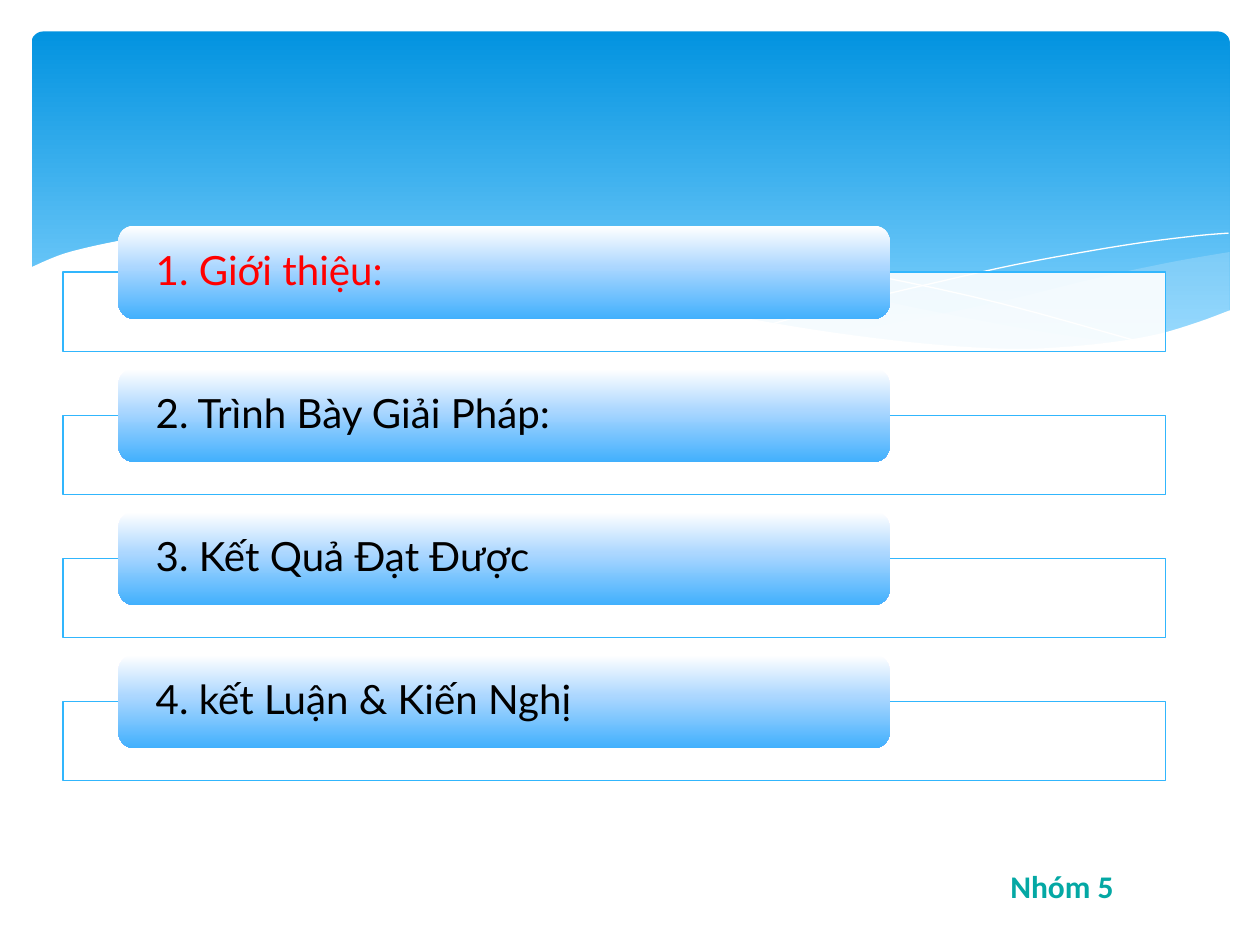
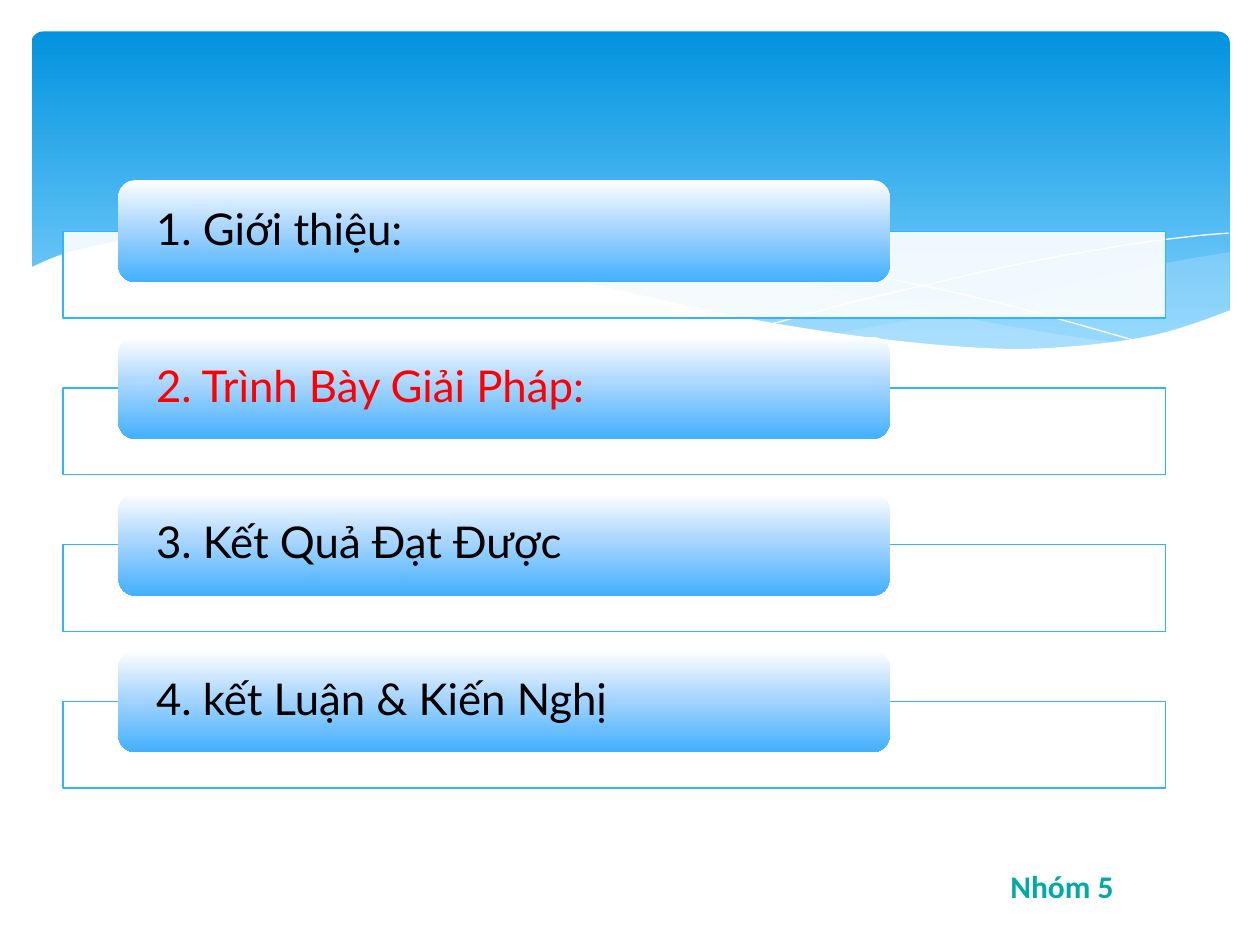
from pptx import Presentation
from pptx.dml.color import RGBColor
from pptx.enum.shapes import MSO_SHAPE
from pptx.enum.text import MSO_ANCHOR, MSO_AUTO_SIZE, PP_ALIGN
from pptx.oxml.ns import qn
from pptx.util import Inches, Pt
from lxml.etree import SubElement

WHITE = RGBColor(0xFF, 0xFF, 0xFF)
BLACK = RGBColor(0x00, 0x00, 0x00)
RED = RGBColor(0xFF, 0x00, 0x00)
TEAL = RGBColor(0x04, 0xA8, 0xA4)
SKY = RGBColor(0x31, 0xB6, 0xFD)
PALE = RGBColor(0xC6, 0xE7, 0xFC)
BANNER = [(0, RGBColor(0x02, 0x93, 0xE0)), (90, RGBColor(0x83, 0xD3, 0xFE))]
CARD = [(0, WHITE), (44, RGBColor(0xAC, 0xD7, 0xFF)), (100, RGBColor(0x42, 0xB0, 0xFD))]

COLS, ROWS = 10, 7.5
TOPICS = ["1. Giới thiệu:", "2. Trình Bày Giải Pháp:", "3. Kết Quả Đạt Được", "4. kết Luận & Kiến Nghị"]
AGENDAS = [
    dict(top=1.79, card=0.74, size=23, current=0),
    dict(top=1.43, card=0.81, size=25, current=1),
]

RIGHT_SWELL = [
    [(9.76, 2), (9.35, 2.07), (8.91, 2.16), (8.61, 2.23), (8.05, 2.37), (7.53, 2.48), (7.06, 2.57), (6.61, 2.65)],
    [(6.61, 2.65), (7.05, 2.71), (7.45, 2.75), (7.81, 2.77), (8.14, 2.78), (8.54, 2.76), (8.89, 2.72),
     (9.21, 2.65), (9.49, 2.57), (9.76, 2.47)],
]
LONG_SWELL = [
    [(8.93, 2.73), (8.37, 2.65), (7.75, 2.54), (7.06, 2.4), (6.29, 2.22), (5.69, 2.08), (5.14, 1.98),
     (4.65, 1.91), (4.2, 1.87), (3.8, 1.85), (3.44, 1.86), (3.13, 1.88), (2.86, 1.91)],
    [(2.86, 1.91), (3.42, 1.99), (4.04, 2.11), (4.49, 2.22), (5.3, 2.4), (6.01, 2.55), (6.65, 2.66),
     (7.22, 2.74), (7.73, 2.77), (8.18, 2.78), (8.57, 2.77), (8.93, 2.73)],
]
FALLING_CREST = [
    [(3.09, 1.95), (3.35, 1.91), (3.74, 1.88), (4.16, 1.87), (4.69, 1.89), (5.33, 1.94), (6.08, 2.04),
     (6.95, 2.19), (7.95, 2.41), (9.07, 2.72)],
]
RISING_CREST = [
    [(6.13, 2.57), (6.72, 2.41), (7.48, 2.23), (8.06, 2.1), (8.66, 1.99), (9.1, 1.92), (9.51, 1.87), (9.75, 1.85)],
]
WHITE_WAVE = [
    [(9.77, 2.46), (9.5, 2.56), (9.2, 2.65), (8.87, 2.71), (8.5, 2.75), (8.09, 2.77), (7.61, 2.75),
     (7.08, 2.7), (6.48, 2.62), (5.79, 2.5), (5.03, 2.33), (4.47, 2.2), (3.91, 2.07), (3.4, 1.97),
     (2.92, 1.9), (2.5, 1.86), (2.11, 1.84), (1.77, 1.84), (1.46, 1.85), (1.19, 1.87), (0.95, 1.91),
     (0.67, 1.97), (0.46, 2.03), (0.23, 2.13)],
    [(0.23, 3.29), (9.77, 3.29)],
]


def smooth(knots, steps=4):
    padded = [knots[0], *knots, knots[-1]]
    points = [knots[0]]
    for a, b, c, d in zip(padded, padded[1:], padded[2:], padded[3:]):
        for t in (i / steps for i in range(1, steps + 1)):
            points.append(tuple(
                (2 * q + (r - p) * t + (2 * p - 5 * q + 4 * r - s) * t ** 2
                 + (3 * q - p - 3 * r + s) * t ** 3) / 2
                for p, q, r, s in zip(a, b, c, d)))
    return points


class Deck:
    """Hold the shared style and the current slide, measured in grid columns and rows."""

    def __init__(self):
        self.prs = Presentation()
        self.prs.slide_width, self.prs.slide_height = Inches(10), Inches(7.5)
        self.s = None

    def grid(self, *lengths):
        units = self.prs.slide_width / COLS, self.prs.slide_height / ROWS
        return [round(n * units[i % 2]) for i, n in enumerate(lengths)]

    def paint(self, sp, fill=None, alpha=100, line=None, width=0.75):
        sp.shadow.inherit = False
        if isinstance(fill, list):
            sp.fill.gradient()
            sp.fill.gradient_angle = 270
            stops = sp._element.spPr.find(".//" + qn("a:gsLst"))
            stops.clear()
            for position, color in fill:
                stop = SubElement(stops, qn("a:gs"), pos=str(position * 1000))
                SubElement(stop, qn("a:srgbClr"), val=str(color))
        elif fill is None:
            sp.fill.background()
        else:
            sp.fill.solid()
            sp.fill.fore_color.rgb = fill
            if alpha < 100:
                color = sp._element.spPr.find(qn("a:solidFill"))[0]
                SubElement(color, qn("a:alpha"), val=str(alpha * 1000))
        if line is None:
            sp.line.fill.background()
        else:
            sp.line.color.rgb = line
            sp.line.width = Pt(width)
        return sp

    def shape(self, kind, box, **look):
        return self.paint(self.s.shapes.add_shape(kind, *self.grid(*box)), **look)

    def wave(self, strokes, **look):
        points = [self.grid(*pt) for knots in strokes for pt in smooth(knots)]
        builder = self.s.shapes.build_freeform(*points[0])
        builder.add_line_segments(points[1:], close="fill" in look)
        return self.paint(builder.convert_to_shape(), **look)

    def text(self, sp, words, color, frame, **font):
        tf = sp.text_frame
        for name, value in dict(word_wrap=True, **frame).items():
            setattr(tf, name, value)
        p = tf.paragraphs[0]
        p.alignment = PP_ALIGN.LEFT
        r = p.add_run()
        r.text = words
        r.font.color.rgb = color
        for name, value in font.items():
            setattr(r.font, name, value)
        return p

    def slide(self):
        self.s = self.prs.slides.add_slide(self.prs.slide_layouts[6])
        banner = self.shape(MSO_SHAPE.ROUNDED_RECTANGLE, (0.25, 0.25, 9.51, 2.7), fill=BANNER)
        banner.adjustments[0] = 0.034
        self.wave(RIGHT_SWELL, fill=PALE, alpha=29)
        self.wave(LONG_SWELL, fill=PALE, alpha=40)
        for crest in (FALLING_CREST, RISING_CREST):
            self.wave(crest, line=WHITE, width=0)
        self.wave(WHITE_WAVE, fill=WHITE)
        footer = self.s.shapes.add_textbox(*self.grid(7.92, 6.83, 1.83, 0.4))
        self.text(footer, "Nhóm 5", TEAL, dict(auto_size=MSO_AUTO_SIZE.SHAPE_TO_FIT_TEXT),
                  name="Calibri", size=Pt(18), bold=True)

    def agenda(self, top, card, size, current):
        inset = self.grid(0.26)[0]
        frame = dict(vertical_anchor=MSO_ANCHOR.MIDDLE, margin_left=inset, margin_right=inset,
                     margin_top=0, margin_bottom=0)
        for i, topic in enumerate(TOPICS):
            y = top + i * card * 1.535
            self.shape(MSO_SHAPE.RECTANGLE, (0.5, y + card / 2, 8.75, card * 0.85),
                       fill=WHITE, alpha=90, line=SKY)
            sp = self.shape(MSO_SHAPE.ROUNDED_RECTANGLE, (0.94, y, 6.12, card), fill=CARD)
            p = self.text(sp, topic, RED if i == current else BLACK, frame, name="Lato", size=Pt(size))
            p.line_spacing = 0.9


deck = Deck()
for agenda in AGENDAS:
    deck.slide()
    deck.agenda(**agenda)
deck.prs.save("out.pptx")
